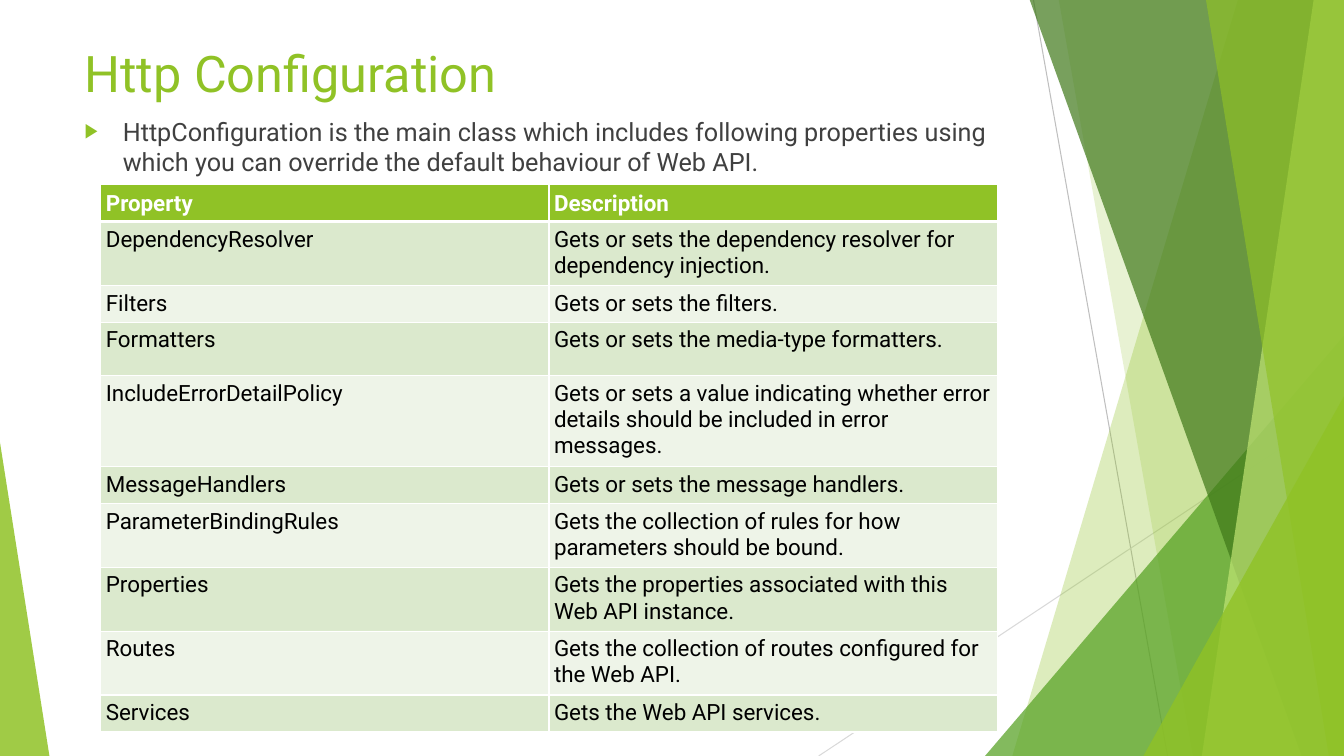
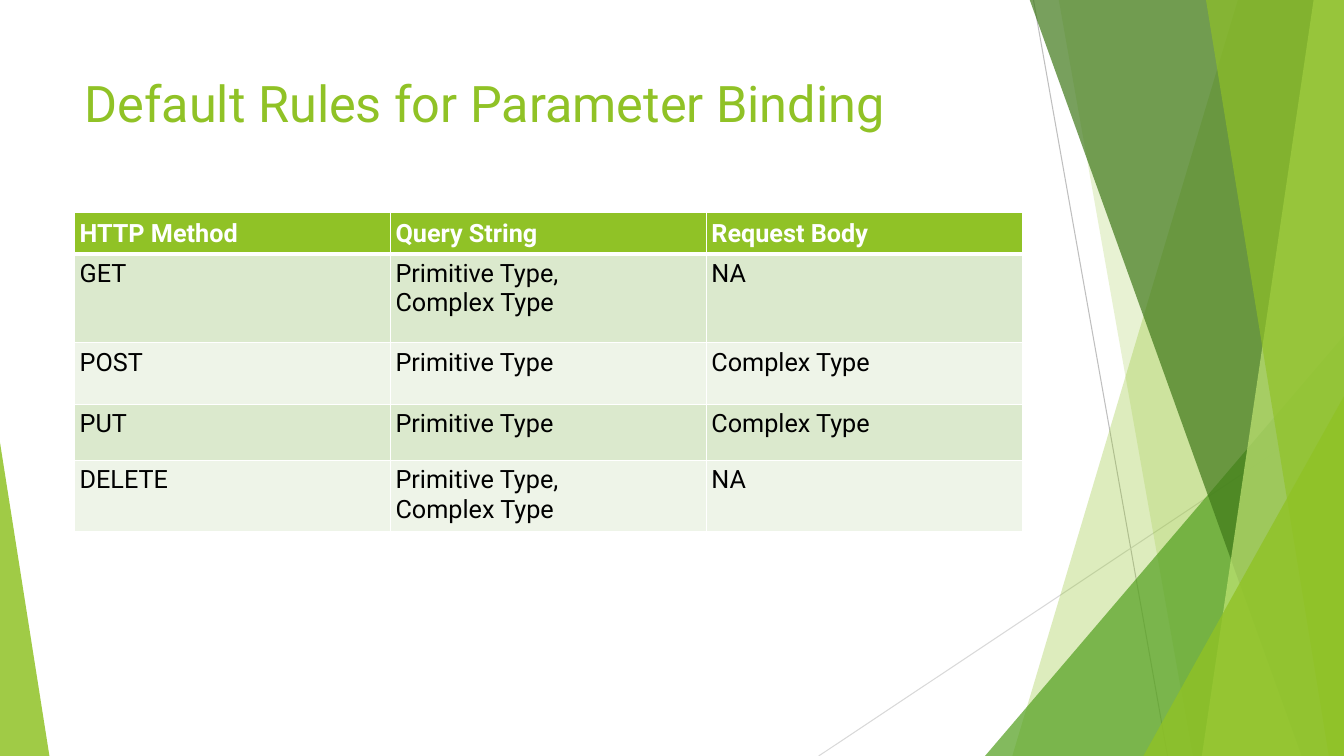
import pptx
import pptx.dml.color
import pptx.enum.shapes
import pptx.enum.text
import pptx.oxml
import pptx.oxml.ns
import pptx.util
from lxml import etree

Inches, Pt = pptx.util.Inches, pptx.util.Pt
RGBColor = pptx.dml.color.RGBColor
qn = pptx.oxml.ns.qn

FONT = "Roboto"
WHITE = RGBColor(0xFF, 0xFF, 0xFF)
BLACK = RGBColor(0x00, 0x00, 0x00)
BODY_GREY = RGBColor(0x40, 0x40, 0x40)
LINE_DARK = RGBColor(0xBF, 0xBF, 0xBF)
LINE_LIGHT = RGBColor(0xD9, 0xD9, 0xD9)
GREEN = RGBColor(0x90, 0xC2, 0x26)
MID_GREEN = RGBColor(0x54, 0xA0, 0x21)
DARK_GREEN = RGBColor(0x3F, 0x78, 0x19)
PALE_GREEN = RGBColor(0xC0, 0xE4, 0x74)
ROW_FILLS = (RGBColor(0xDB, 0xE9, 0xCD), RGBColor(0xEE, 0xF4, 0xE8))

SLIDE_W, SLIDE_H = 13.33, 7.5
LEFT, CONTENT_W = 0.74, 9.4

PROPERTIES = [
    ("Property", "Description"),
    ("DependencyResolver",
     "Gets or sets the dependency resolver for dependency injection."),
    ("Filters", "Gets or sets the filters."),
    ("Formatters", "Gets or sets the media-type formatters."),
    ("IncludeErrorDetailPolicy",
     "Gets or sets a value indicating whether error details should be "
     "included in error messages."),
    ("MessageHandlers", "Gets or sets the message handlers."),
    ("ParameterBindingRules",
     "Gets the collection of rules for how parameters should be bound."),
    ("Properties", "Gets the properties associated with this Web API instance."),
    ("Routes", "Gets the collection of routes configured for the Web API."),
    ("Services", "Gets the Web API services."),
]
PROPERTY_HEIGHTS = [0.3, 0.53, 0.3, 0.53, 0.75, 0.3, 0.53, 0.53, 0.53, 0.3]

BINDING_RULES = [
    ("HTTP Method", "Query String", "Request Body"),
    ("GET", "Primitive Type,\u00a0\nComplex Type", "NA"),
    ("POST", "Primitive Type", "Complex Type"),
    ("PUT", "Primitive Type", "Complex Type"),
    ("DELETE", "Primitive Type,\nComplex Type", "NA"),
]
BINDING_HEIGHTS = [0.41, 0.88, 0.61, 0.56, 0.41]


def style_font(font, size, color, bold=False):
    """Set the deck font with a size, colour and weight."""
    font.name, font.size, font.bold = FONT, Pt(size), bold
    font.color.rgb = color


def fill_facet(sp, color, opacity):
    """Give a shape a see-through fill without outline or shadow."""
    sp.shadow.inherit = False
    sp.line.fill.background()
    sp.fill.solid()
    sp.fill.fore_color.rgb = color
    clr = sp.element.spPr.find(qn("a:solidFill"))[0]
    etree.SubElement(clr, qn("a:alpha"), val=str(opacity * 1000))


def add_hairline(slide, start, end, color):
    """Draw a thin straight line between two points."""
    line = slide.shapes.add_connector(
        pptx.enum.shapes.MSO_CONNECTOR.STRAIGHT,
        *(Inches(v) for v in start + end))
    line.line.color.rgb = color
    line.line.width = Pt(0.75)
    etree.SubElement(line.element.spPr, qn("a:effectLst"))


def add_band(slide, top_x, bottom_x, color, opacity):
    """Fill the area from a slanted edge to the right side of the slide."""
    top = -0.01
    corners = [(SLIDE_W, top), (SLIDE_W, SLIDE_H), (bottom_x, SLIDE_H)]
    builder = slide.shapes.build_freeform(Inches(top_x), Inches(top))
    builder.add_line_segments([(Inches(x), Inches(y)) for x, y in corners])
    fill_facet(builder.convert_to_shape(), color, opacity)


def add_corner(slide, left, top, width, apex, color, opacity):
    """Draw a triangle standing on the bottom edge of the slide."""
    sp = slide.shapes.add_shape(
        pptx.enum.shapes.MSO_SHAPE.ISOSCELES_TRIANGLE, Inches(left),
        Inches(top), Inches(width), Inches(SLIDE_H - top))
    sp.adjustments[0] = apex
    fill_facet(sp, color, opacity)


def add_backdrop(slide):
    """Draw the green facets shared by all slides, back to front."""
    add_hairline(slide, (10.25, 0), (11.58, SLIDE_H), LINE_DARK)
    add_hairline(slide, (SLIDE_W, 4.03), (8.12, SLIDE_H), LINE_LIGHT)
    add_band(slide, 12.28, 10.04, GREEN, 30)
    add_band(slide, 10.5, 11.83, GREEN, 20)
    add_corner(slide, 9.77, 3.33, 3.56, 1, MID_GREEN, 72)
    add_band(slide, 10.21, 12.91, DARK_GREEN, 70)
    add_band(slide, 13.03, 11.92, PALE_GREEN, 70)
    add_band(slide, 11.96, 13.18, GREEN, 65)
    add_corner(slide, 11.34, 3.93, 1.99, 1, GREEN, 80)
    add_corner(slide, 0, 4.39, 0.49, 0, GREEN, 85)


def add_text(slide, text, top, height, size, color):
    """Add a text box as wide as the content and return its paragraph."""
    box = slide.shapes.add_textbox(
        Inches(LEFT), Inches(top), Inches(CONTENT_W), Inches(height))
    tf = box.text_frame
    tf.word_wrap = True
    tf.vertical_anchor = pptx.enum.text.MSO_ANCHOR.TOP
    p = tf.paragraphs[0]
    p.text = text
    style_font(p.font, size, color)
    return p


def add_bullet(slide, text, top, height):
    """Add a body paragraph with a green arrow bullet."""
    p = add_text(slide, text, top, height, 18, BODY_GREY)
    p.space_before = Pt(10)
    pPr = p._p.get_or_add_pPr()
    indent = Inches(0.38)
    pPr.set("marL", str(indent))
    pPr.set("indent", str(-indent))
    bullet = [
        pptx.oxml.parse_xml(f'<a:{tag} {pptx.oxml.ns.nsdecls("a")}>{inner}</a:{tag}>')
        for tag, inner in (("buClr", f'<a:srgbClr val="{GREEN}"/>'),)]
    bullet.append(etree.Element(qn("a:buSzPct"), val="80000"))
    bullet.append(etree.Element(qn("a:buFont"), typeface="Arial"))
    bullet.append(etree.Element(qn("a:buChar"), char="\u25b6"))
    defaults = pPr.find(qn("a:defRPr"))
    for item in bullet:
        defaults.addprevious(item)


def border_cell(cell, bottom_width):
    """Draw white borders around a table cell."""
    tcPr = cell._tc.get_or_add_tcPr()
    for side, width in (("L", 1), ("R", 1), ("T", 1), ("B", bottom_width)):
        ln = etree.SubElement(tcPr, qn(f"a:ln{side}"), w=str(Pt(width)))
        fill = etree.SubElement(ln, qn("a:solidFill"))
        etree.SubElement(fill, qn("a:srgbClr"), val=str(WHITE))


def add_grid(slide, rows, heights, left, top, width, size):
    """Add a table with a green header, banded rows and equal columns."""
    count = len(rows[0])
    table = slide.shapes.add_table(
        len(rows), count, Inches(left), Inches(top), Inches(width),
        Inches(sum(heights))).table
    for column in table.columns:
        column.width = Inches(width / count)
    for i, (texts, height) in enumerate(zip(rows, heights)):
        header = i == 0
        table.rows[i].height = Inches(height)
        for cell, text in zip(table.rows[i].cells, texts):
            border_cell(cell, 3 if header else 1)
            cell.fill.solid()
            cell.fill.fore_color.rgb = GREEN if header else ROW_FILLS[(i - 1) % 2]
            cell.margin_left = cell.margin_right = Inches(0.05)
            cell.margin_top = cell.margin_bottom = Inches(0.05)
            anchor = pptx.enum.text.MSO_ANCHOR
            cell.vertical_anchor = anchor.BOTTOM if header else anchor.TOP
            p = cell.text_frame.paragraphs[0]
            p.text = text
            style_font(p.font, size, WHITE if header else BLACK, header)


def add_slide(prs, title, top, height):
    """Start a slide with the backdrop and a green title."""
    slide = prs.slides.add_slide(prs.slide_layouts[6])
    add_backdrop(slide)
    add_text(slide, title, top, height, 36, GREEN)
    return slide


def configuration_slide(prs):
    """Build the slide on the configuration class and its properties."""
    slide = add_slide(prs, "Http Configuration", 0.37, 0.73)
    add_bullet(
        slide, "HttpConfiguration is the main class which includes following "
        "properties using which you can override the default behaviour of "
        "Web API.", 1.1, 0.84)
    add_grid(slide, PROPERTIES, PROPERTY_HEIGHTS, 1, 1.83, 8.89, 16)


def binding_slide(prs):
    """Build the slide on the parameter binding rules."""
    slide = add_slide(prs, "Default Rules for Parameter Binding", 0.67, 1.44)
    add_grid(slide, BINDING_RULES, BINDING_HEIGHTS, LEFT, 2.11, CONTENT_W, 18)


def main():
    """Build and save the presentation."""
    prs = pptx.Presentation()
    prs.slide_width, prs.slide_height = Inches(SLIDE_W), Inches(SLIDE_H)
    configuration_slide(prs)
    binding_slide(prs)
    prs.save("out.pptx")


main()
